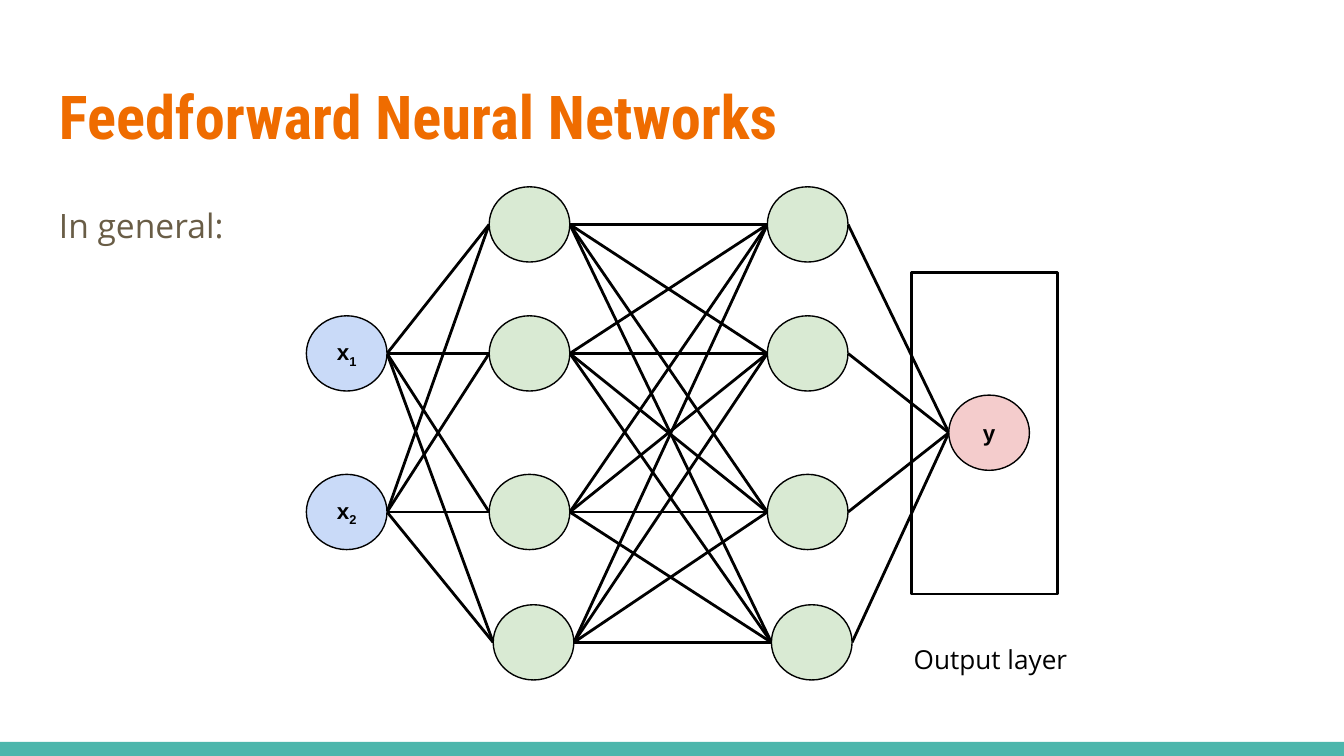
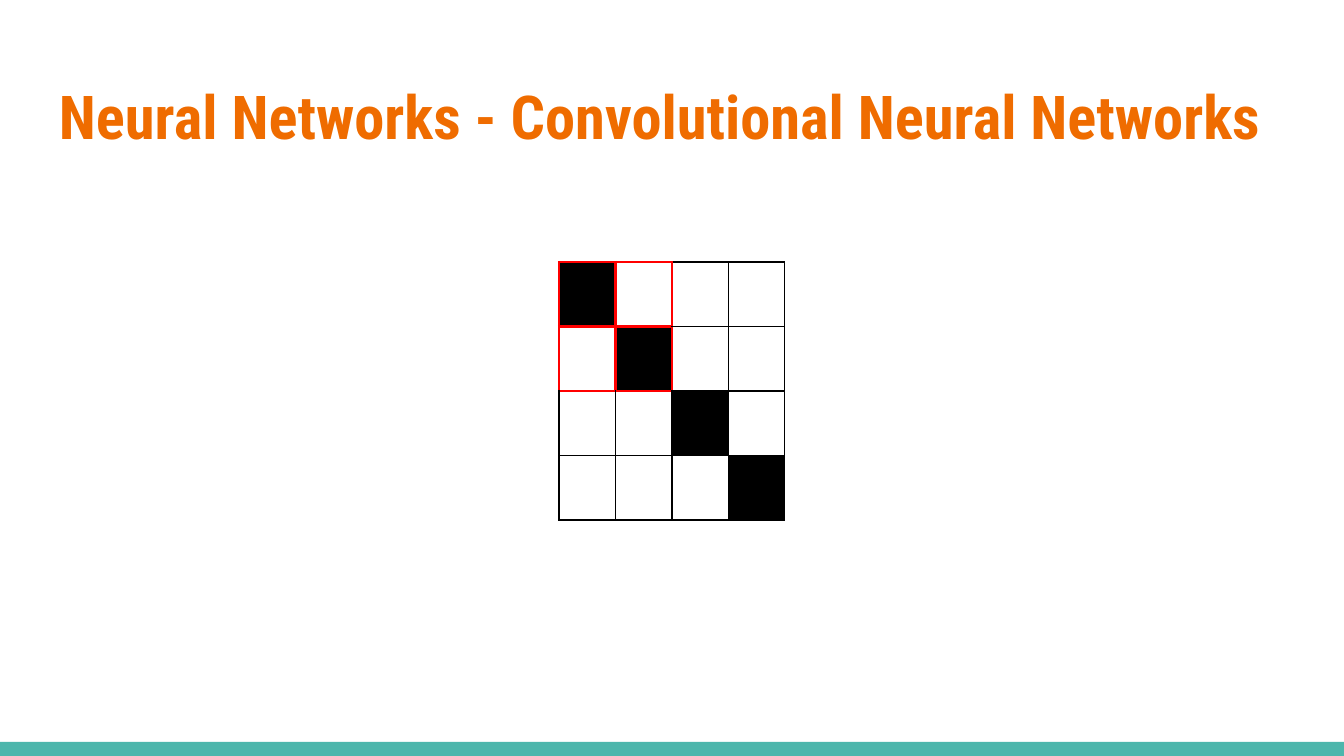
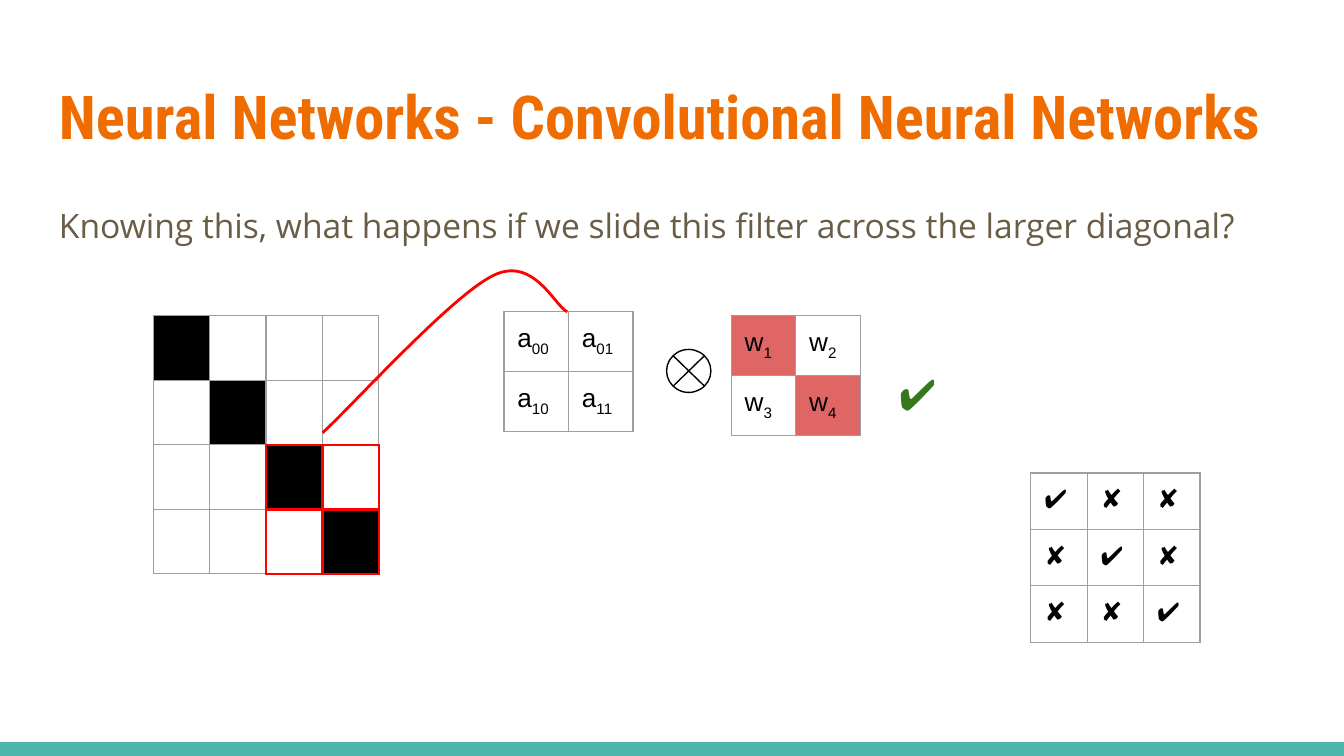
from math import sqrt

from lxml import etree
from pptx import Presentation
from pptx.dml.color import RGBColor
from pptx.enum.shapes import MSO_CONNECTOR, MSO_SHAPE
from pptx.enum.text import MSO_ANCHOR, PP_ALIGN
from pptx.oxml.ns import qn
from pptx.util import Inches, Pt

STRAIGHT = MSO_CONNECTOR.STRAIGHT
RECTANGLE, ELLIPSE = MSO_SHAPE.RECTANGLE, MSO_SHAPE.OVAL
TOP, MIDDLE = MSO_ANCHOR.TOP, MSO_ANCHOR.MIDDLE
LEFT, CENTER = PP_ALIGN.LEFT, PP_ALIGN.CENTER

BLACK, GREY, RED = "000000", "9E9E9E", "FF0000"
ORANGE, BROWN, TEAL, GREEN = "EF6C00", "695D46", "4DB6AC", "38761D"
INPUT_BLUE, HIDDEN_GREEN, OUTPUT_PINK, WEIGHT_RED = "C9DAF8", "D9EAD3", "F4CCCC", "E06666"

TITLE = {"name": "Roboto Condensed", "size": Pt(32.4), "bold": True, "color": ORANGE}
BODY = {"name": "Open Sans", "size": Pt(18), "color": BROWN}
CAPTION = {"name": "Open Sans", "size": Pt(14), "color": BLACK}
TICK = {"name": "Open Sans", "size": Pt(23), "bold": True, "color": GREEN}
NODE = {"name": "Arial", "size": Pt(12), "bold": True, "color": BLACK}
CELL = {"name": "Arial", "size": Pt(14), "color": BLACK}

GENERAL = "Feedforward Neural Networks"
CONVOLUTIONAL = "Neural Networks - Convolutional Neural Networks"
QUESTION = "Knowing this, what happens if we slide this filter across the larger diagonal?"

NODE_WIDTH, NODE_HEIGHT = 0.6, 0.56
HIDDEN_TOPS = [(0, 1.39), (0, 2.35), (0, 3.53), (0.03, 4.5)]
LAYERS = [
    (INPUT_BLUE, 2.28, [(0, 2.35), (0, 3.53)], ["x_1", "x_2"]),
    (HIDDEN_GREEN, 3.64, HIDDEN_TOPS, [""] * 4),
    (HIDDEN_GREEN, 5.71, HIDDEN_TOPS, [""] * 4),
    (OUTPUT_PINK, 7.06, [(0, 2.94)], ["y"]),
]

DIAGONAL = [[""] * 4 for _ in range(4)]
DIAGONAL_FILLS = {(i, i): BLACK for i in range(4)}
FIRST_WINDOW = [(r, c) for r in (0, 1) for c in (0, 1)]
LAST_WINDOW = [(r, c) for r in (2, 3) for c in (2, 3)]
INPUTS = [["a_00", "a_01"], ["a_10", "a_11"]]
WEIGHTS = [["w_1", "w_2"], ["w_3", "w_4"]]
WEIGHT_FILLS = {(0, 0): WEIGHT_RED, (1, 1): WEIGHT_RED}
MATCHES = [["✔" if r == c else "✘" for c in range(3)] for r in range(3)]
SWOOP = [(2.4, 3.22), (2.61, 3.03), (3.36, 2.2), (3.67, 2.05),
         (3.97, 1.9), (4.13, 2.28), (4.22, 2.32)]


def rgb(value):
    return RGBColor.from_string(value)


def write_spans(para, text, style):
    base, _, subscript = text.partition("_")
    for part, offset in ((base, None), (subscript, "-25000")):
        if not part:
            continue
        span = para.add_run()
        span.text = part
        for key, value in style.items():
            if key == "color":
                span.font.color.rgb = rgb(value)
            else:
                setattr(span.font, key, value)
        if offset:
            span.font._element.set("baseline", offset)


def set_margins(holder, across, down):
    holder.margin_left = holder.margin_right = Inches(across)
    holder.margin_top = holder.margin_bottom = Inches(down)


def write(frame, text, style, align=LEFT, anchor=TOP, **spacing):
    frame.word_wrap = True
    frame.vertical_anchor = anchor
    set_margins(frame, 0.1, 0.1)
    para = frame.paragraphs[0]
    para.alignment = align
    for key, value in spacing.items():
        setattr(para, key, value)
    write_spans(para, text, style)


def add_text(page, at, text, style, **layout):
    box = page.shapes.add_textbox(*map(Inches, at))
    write(box.text_frame, text, style, **layout)


def paint(shape, fill=None, line=None, width=0.75):
    shape.shadow.inherit = False
    if fill:
        shape.fill.solid()
        shape.fill.fore_color.rgb = rgb(fill)
    else:
        shape.fill.background()
    if line:
        shape.line.color.rgb = rgb(line)
        shape.line.width = Pt(width)
    else:
        shape.line.fill.background()


def add_shape(page, kind, at, **look):
    shape = page.shapes.add_shape(kind, *map(Inches, at))
    paint(shape, **look)
    return shape


def add_line(page, start, end, width):
    line = page.shapes.add_connector(STRAIGHT, *map(Inches, (*start, *end)))
    line.line.color.rgb = rgb(BLACK)
    line.line.width = Pt(width)
    etree.SubElement(line._element.spPr, qn("a:effectLst"))


def add_curve(page, points, color, width):
    builder = page.shapes.build_freeform(*map(Inches, points[0]))
    builder.add_line_segments([tuple(map(Inches, p)) for p in points[1:]], close=False)
    curve = builder.convert_to_shape()
    paint(curve, line=color, width=width)
    outline = next(curve._element.iter(qn("a:path")))
    segments = outline.findall(qn("a:lnTo"))
    for i in range(0, len(segments), 3):
        bezier = etree.SubElement(outline, qn("a:cubicBezTo"))
        for segment in segments[i:i + 3]:
            bezier.append(segment[0])
            outline.remove(segment)


def add_border(cell, side, color, width):
    line = etree.SubElement(cell._tc.get_or_add_tcPr(), qn("a:ln" + side), w=str(Pt(width)))
    fill = etree.SubElement(line, qn("a:solidFill"))
    etree.SubElement(fill, qn("a:srgbClr"), val=color)


def add_grid(page, left, top, rows, column, height, fills, border=GREY, window=()):
    size = (column * len(rows[0]), height * len(rows))
    frame = page.shapes.add_table(len(rows), len(rows[0]), *map(Inches, (left, top, *size)))
    table = frame.table
    table.first_row = table.horz_banding = False
    for item in table.columns:
        item.width = Inches(column)
    for item in table.rows:
        item.height = Inches(height)
    for r, row in enumerate(rows):
        for c, text in enumerate(row):
            cell = table.cell(r, c)
            neighbours = {"L": (r, c - 1), "R": (r, c + 1), "T": (r - 1, c), "B": (r + 1, c)}
            for side, neighbour in neighbours.items():
                marked = (r, c) in window or neighbour in window
                add_border(cell, side, *((RED, 1.5) if marked else (border, 0.75)))
            if (r, c) in fills:
                cell.fill.solid()
                cell.fill.fore_color.rgb = rgb(fills[r, c])
            else:
                cell.fill.background()
            set_margins(cell, 0.1, 0.09 if text else 0)
            write_spans(cell.text_frame.paragraphs[0], text, CELL)


def add_page(deck, title, body=None):
    page = deck.slides.add_slide(deck.slide_layouts[6])
    add_shape(page, RECTANGLE, (0, 5.52, 10, 0.11), fill=TEAL)
    add_text(page, (0.34, 0.49, 9.32, 0.77), title, TITLE)
    if body:
        add_text(page, (0.34, 1.38, 9.32, 0.64), body, BODY,
                 line_spacing=1.15, space_after=Pt(12))
    return page


def add_network(page):
    layers = [[(left + shift, top) for shift, top in places] for _, left, places, _ in LAYERS]
    middle = NODE_HEIGHT / 2
    for sources, targets in zip(layers, layers[1:]):
        for x, y in sources:
            for target_x, target_y in targets:
                add_line(page, (x + NODE_WIDTH, y + middle), (target_x, target_y + middle), 1.5)
    for (color, _, _, labels), places in zip(LAYERS, layers):
        for place, label in zip(places, labels):
            node = add_shape(page, ELLIPSE, (*place, NODE_WIDTH, NODE_HEIGHT),
                             fill=color, line=BLACK)
            if label:
                write(node.text_frame, label, NODE, align=CENTER, anchor=MIDDLE)
    add_shape(page, RECTANGLE, (6.78, 2.03, 1.09, 2.39), line=BLACK, width=1.5)
    add_text(page, (6.7, 4.69, 1.5, 0.44), "Output layer", CAPTION)


def add_product_sign(page, left, top, width, height):
    add_shape(page, ELLIPSE, (left, top, width, height), line=BLACK)
    x, y = left + width / 2, top + height / 2
    dx, dy = width / sqrt(8), height / sqrt(8)
    for slope in (1, -1):
        add_line(page, (x - dx, y - slope * dy), (x + dx, y + slope * dy), 0.75)


def main():
    deck = Presentation()
    deck.slide_width = Inches(10)
    deck.slide_height = deck.slide_width * 9 // 16

    add_network(add_page(deck, GENERAL, "In general:"))

    page = add_page(deck, CONVOLUTIONAL)
    add_grid(page, 4.16, 1.95, DIAGONAL, 0.42, 0.48, DIAGONAL_FILLS, BLACK, FIRST_WINDOW)

    page = add_page(deck, CONVOLUTIONAL, QUESTION)
    add_grid(page, 1.14, 2.35, DIAGONAL, 0.42, 0.48, DIAGONAL_FILLS, window=LAST_WINDOW)
    add_product_sign(page, 4.96, 2.6, 0.33, 0.32)
    add_grid(page, 5.44, 2.35, WEIGHTS, 0.48, 0.42, WEIGHT_FILLS)
    add_grid(page, 3.75, 2.32, INPUTS, 0.48, 0.42, {})
    add_text(page, (6.59, 2.58, 0.46, 0.47), "✔", TICK, line_spacing=1.15)
    add_curve(page, SWOOP, RED, 1.5)
    add_grid(page, 7.67, 3.52, MATCHES, 0.42, 0.42, {})

    deck.save("out.pptx")


if __name__ == "__main__":
    main()
